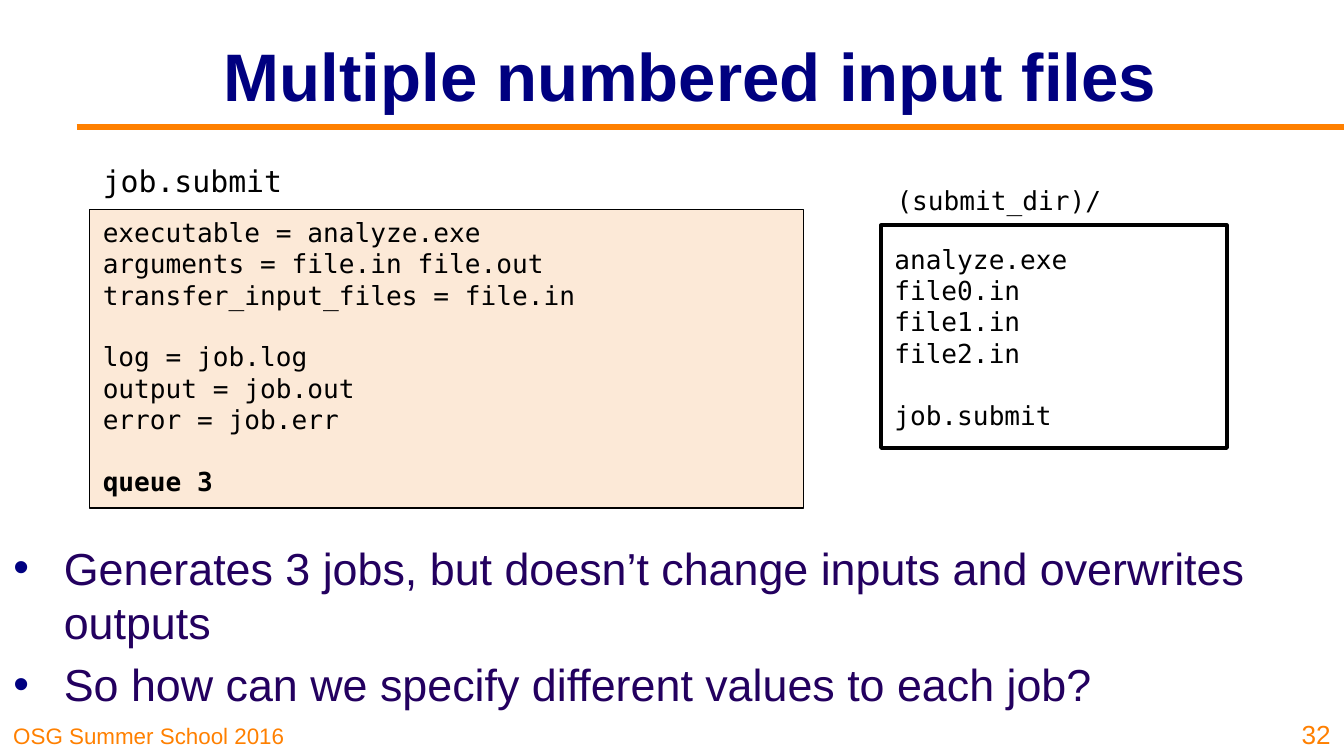
from lxml.etree import SubElement
from pptx import Presentation
from pptx.dml.color import RGBColor
from pptx.enum.shapes import MSO_CONNECTOR as Connector, MSO_SHAPE as Shape
from pptx.enum.text import MSO_ANCHOR as Anchor, MSO_AUTO_SIZE as AutoSize, PP_ALIGN as Align
from pptx.oxml.ns import qn
from pptx.util import Pt

ORANGE = RGBColor(0xFF, 0x80, 0x00)
NAVY = RGBColor(0x00, 0x00, 0x80)
INDIGO = RGBColor(0x23, 0x00, 0x5F)
PEACH = RGBColor(0xFC, 0xE9, 0xD7)
BLACK = RGBColor(0x00, 0x00, 0x00)
WHITE = RGBColor(0xFF, 0xFF, 0xFF)

SANS = "Arial"
MONO = "DejaVu Sans Mono"
CODE_GAP = 16.3  # height of one 14 pt code line

SUBMIT_FILE = [
    ["executable = analyze.exe", "arguments = file.in file.out",
     "transfer_input_files = file.in"],
    ["log = job.log", "output = job.out", "error = job.err"],
    ["queue 3"],
]
DIRECTORY_FILES = [
    ["analyze.exe", "file0.in", "file1.in", "file2.in"],
    ["job.submit"],
]
BULLETS = [
    "Generates 3 jobs, but doesn’t change inputs and overwrites outputs",
    "So how can we specify different values to each job?",
]


def place(shape, left, top, width, height):
    shape.left, shape.top = Pt(left), Pt(top)
    shape.width, shape.height = Pt(width), Pt(height)


def set_font(paragraph, name, size, color, bold=False):
    font = paragraph.font
    font.name, font.size, font.bold = name, Pt(size), bold
    font.color.rgb = color


def add_label(slide, box, text, name, size, color, anchor=Anchor.TOP, align=Align.LEFT):
    frame = slide.shapes.add_textbox(*map(Pt, box)).text_frame
    frame.word_wrap = True
    frame.vertical_anchor = anchor
    paragraph = frame.paragraphs[0]
    paragraph.text = text
    paragraph.alignment = align
    set_font(paragraph, name, size, color)


def add_code_box(slide, box, groups, fill, line_width, anchor):
    """Draw a framed listing with a one-line gap between groups of lines."""
    shape = slide.shapes.add_shape(Shape.RECTANGLE, *map(Pt, box))
    shape.shadow.inherit = False
    shape.fill.solid()
    shape.fill.fore_color.rgb = fill
    shape.line.color.rgb = BLACK
    shape.line.width = Pt(line_width)
    frame = shape.text_frame
    frame.word_wrap = True
    frame.vertical_anchor = anchor
    paragraph = frame.paragraphs[0]
    for group_index, group in enumerate(groups):
        for line_index, text in enumerate(group):
            if group_index or line_index:
                paragraph = frame.add_paragraph()
            paragraph.text = text
            paragraph.alignment = Align.LEFT
            if group_index and line_index == 0:
                paragraph.space_before = Pt(CODE_GAP)
            set_font(paragraph, MONO, 14, BLACK, bold=text.startswith("queue"))


def add_rule(slide, left, right, y):
    rule = slide.shapes.add_connector(Connector.STRAIGHT, Pt(left), Pt(y), Pt(right), Pt(y))
    rule.line.color.rgb = ORANGE
    rule.line.width = Pt(3)
    SubElement(rule._element.spPr, qn("a:effectLst"))


def set_bullet(paragraph, indent):
    properties = paragraph._p.get_or_add_pPr()
    properties.set("marL", str(Pt(indent)))
    properties.set("indent", str(-Pt(indent)))
    color = SubElement(properties, qn("a:buClr"))
    SubElement(color, qn("a:srgbClr"), val=str(NAVY))
    SubElement(properties, qn("a:buFont"), typeface=SANS)
    SubElement(properties, qn("a:buChar"), char="•")


def fill_title(title, text):
    place(title, 96.5, 6.5, 547, 67.5)
    frame = title.text_frame
    frame.text = text
    frame.auto_size = AutoSize.NONE
    frame.vertical_anchor = Anchor.MIDDLE
    paragraph = frame.paragraphs[0]
    paragraph.alignment = Align.CENTER
    set_font(paragraph, SANS, 36, NAVY, bold=True)


def fill_bullets(body, texts):
    place(body, 0, 286, 720, 87)
    frame = body.text_frame
    frame.text = "\n".join(texts)
    frame.auto_size = AutoSize.NONE
    for index, paragraph in enumerate(frame.paragraphs):
        set_bullet(paragraph, 27)
        paragraph.space_before = Pt(4.8 if index else 0)
        set_font(paragraph, SANS, 24, INDIGO)


def main():
    presentation = Presentation()
    presentation.slide_width, presentation.slide_height = Pt(720), Pt(405)
    slide = presentation.slides.add_slide(presentation.slide_layouts[1])

    fill_title(slide.shapes.title, "Multiple numbered input files")
    add_rule(slide, 41, 720, 68.2)
    fill_bullets(slide.placeholders[1], BULLETS)

    add_label(slide, (48, 83.5, 120, 22.5), "job.submit", MONO, 16, BLACK)
    add_code_box(slide, (48, 112.3, 382.5, 160), SUBMIT_FILE, PEACH, 0.75, Anchor.TOP)
    add_label(slide, (473.2, 95, 156, 24), "(submit_dir)/", MONO, 14, BLACK)
    add_code_box(slide, (472, 120.7, 185.3, 119.3), DIRECTORY_FILES, WHITE, 2, Anchor.MIDDLE)

    add_label(slide, (0, 382.5, 178.5, 22.5), "OSG Summer School 2016",
              SANS, 12, ORANGE, Anchor.BOTTOM)
    add_label(slide, (680, 378, 40, 27), "32", SANS, 14, ORANGE, Anchor.BOTTOM, Align.RIGHT)
    presentation.save("out.pptx")


if __name__ == "__main__":
    main()
